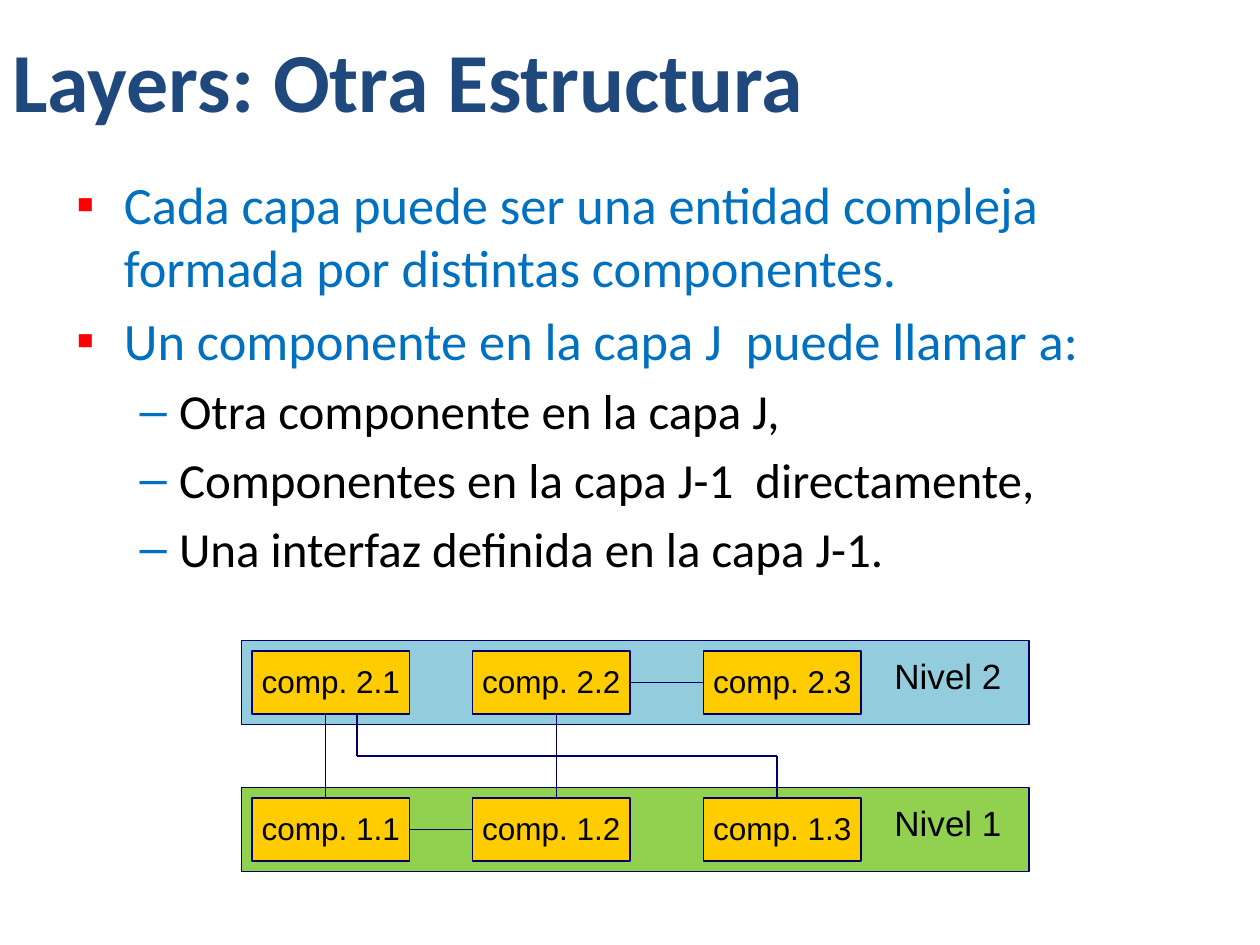
from dataclasses import dataclass

from lxml import etree
from pptx import Presentation
from pptx.dml.color import RGBColor
from pptx.enum.shapes import MSO_CONNECTOR, MSO_SHAPE
from pptx.enum.text import MSO_ANCHOR, PP_ALIGN
from pptx.oxml.ns import qn
from pptx.util import Pt

BOX = MSO_SHAPE.ROUNDED_RECTANGLE
STRAIGHT = MSO_CONNECTOR.STRAIGHT
LEFT, CENTER = PP_ALIGN.LEFT, PP_ALIGN.CENTER
TOP, MIDDLE = MSO_ANCHOR.TOP, MSO_ANCHOR.MIDDLE
SIDE_LEFT, SIDE_RIGHT = 1, 3


@dataclass(frozen=True)
class Theme:
    heading_font: str = "Calibri"
    label_font: str = "Arial"
    title: str = "1F497D"
    accent: str = "0070C0"
    bullet: str = "FF0000"
    text: str = "000000"
    line: str = "000066"
    upper: str = "93CDDD"
    lower: str = "92D050"
    component: str = "FFCC00"
    title_size: int = 48
    body_size: int = 30
    sub_size: int = 28
    level_size: int = 20
    component_size: int = 18


T = Theme()


def rgb(value):
    return RGBColor.from_string(value)


def write(p, text, size, color=T.text, font=T.label_font, bold=False,
          align=LEFT, spacing=None, before=0):
    p.alignment = align
    p.line_spacing = spacing
    p.space_before = Pt(before)
    r = p.add_run()
    r.text = text
    r.font.size = Pt(size)
    r.font.name = font
    r.font.bold = bold
    r.font.color.rgb = rgb(color)


def text_box(s, x, y, w, h, anchor=TOP, wrap=True):
    tf = s.shapes.add_textbox(Pt(x), Pt(y), Pt(w), Pt(h)).text_frame
    tf.word_wrap = wrap
    tf.vertical_anchor = anchor
    return tf


def set_bullet(p, char, color, margin, hang):
    pPr = p._p.get_or_add_pPr()
    pPr.set("marL", str(Pt(margin)))
    pPr.set("indent", str(-Pt(hang)))
    clr = etree.SubElement(pPr, qn("a:buClr"))
    etree.SubElement(clr, qn("a:srgbClr"), val=color)
    etree.SubElement(pPr, qn("a:buFont"), typeface="Arial")
    etree.SubElement(pPr, qn("a:buChar"), char=char)


def box(s, x, y, w, h, fill):
    sp = s.shapes.add_shape(BOX, Pt(x), Pt(y), Pt(w), Pt(h))
    sp.adjustments[0] = 0
    sp.shadow.inherit = False
    sp.fill.solid()
    sp.fill.fore_color.rgb = rgb(fill)
    sp.line.color.rgb = rgb(T.line)
    sp.line.width = Pt(0.75)
    return sp


def connect(s, start, end):
    c = s.shapes.add_connector(STRAIGHT, *(Pt(v) for v in (*start, *end)))
    c.line.color.rgb = rgb(T.line)
    c.line.width = Pt(0.75)
    etree.SubElement(c._element.spPr, qn("a:effectLst"))
    return c


def join(s, a, b):
    """Link the right side of a to the left side of b."""
    c = connect(s, (0, 0), (0, 0))
    c.begin_connect(a, SIDE_RIGHT)
    c.end_connect(b, SIDE_LEFT)


def add_title(s, x, y, w, h, text):
    tf = text_box(s, x, y, w, h, anchor=MIDDLE)
    write(tf.paragraphs[0], text, T.title_size, T.title, T.heading_font, bold=True)


def add_body(s, x, y, w, h, items):
    tf = text_box(s, x, y, w, h)
    for i, (level, text) in enumerate(items):
        p = tf.add_paragraph() if i else tf.paragraphs[0]
        p.level = level
        size, color = ((T.body_size, T.accent), (T.sub_size, T.text))[level]
        write(p, text, size, color, T.heading_font, before=0.2 * size if i else 0)
        if level:
            set_bullet(p, "–", T.accent, 58.5, 22.5)
        else:
            set_bullet(p, "▪", T.bullet, 27, 27)


def add_level(s, x, y, w, h, number, fill):
    """Draw one layer and return its three components."""
    pad = 6
    box(s, x, y, w, h, fill)
    components = []
    for i, dx in enumerate((pad, 132, 264), start=1):
        sp = box(s, x + dx, y + pad, 90, h - 2 * pad, T.component)
        tf = sp.text_frame
        tf.word_wrap = False
        tf.vertical_anchor = MIDDLE
        write(tf.paragraphs[0], f"comp. {number}.{i}", T.component_size,
              align=CENTER, spacing=0.95)
        components.append(sp)
    tf = text_box(s, x + 366, y + pad, 75.6, 30, wrap=False)
    write(tf.paragraphs[0], f"Nivel {number}", T.level_size, spacing=0.95)
    return components


def add_layers(s, x, y, w, h):
    band = 48
    lower = add_level(s, x, y + h - band, w, band, 1, T.lower)
    upper = add_level(s, x, y, w, band, 2, T.upper)

    # Calls within a layer
    join(s, upper[1], upper[2])
    join(s, lower[0], lower[1])

    # Calls down to the layer below
    top, bottom = y + band - 6, y + h - band + 6
    for dx in (48, 180):
        connect(s, (x + dx, top), (x + dx, bottom))
    middle = (top + bottom) / 2
    route = [(x + 66, top), (x + 66, middle), (x + 306, middle), (x + 306, bottom)]
    for start, end in zip(route, route[1:]):
        connect(s, start, end)


def main():
    prs = Presentation()
    prs.slide_width, prs.slide_height = Pt(720), Pt(540)
    s = prs.slides.add_slide(prs.slide_layouts[6])
    add_title(s, 0, 0, 720, 90, "Layers: Otra Estructura")
    add_body(s, 36.75, 94.5, 648, 356, [
        (0, "Cada capa puede ser una entidad compleja formada por distintas componentes."),
        (0, "Un componente en la capa J  puede llamar a:"),
        (1, "Otra componente en la capa J,"),
        (1, "Componentes en la capa J-1  directamente,"),
        (1, "Una interfaz definida en la capa J-1."),
    ])
    add_layers(s, 138, 366, 450, 132)
    prs.save("out.pptx")


if __name__ == "__main__":
    main()
